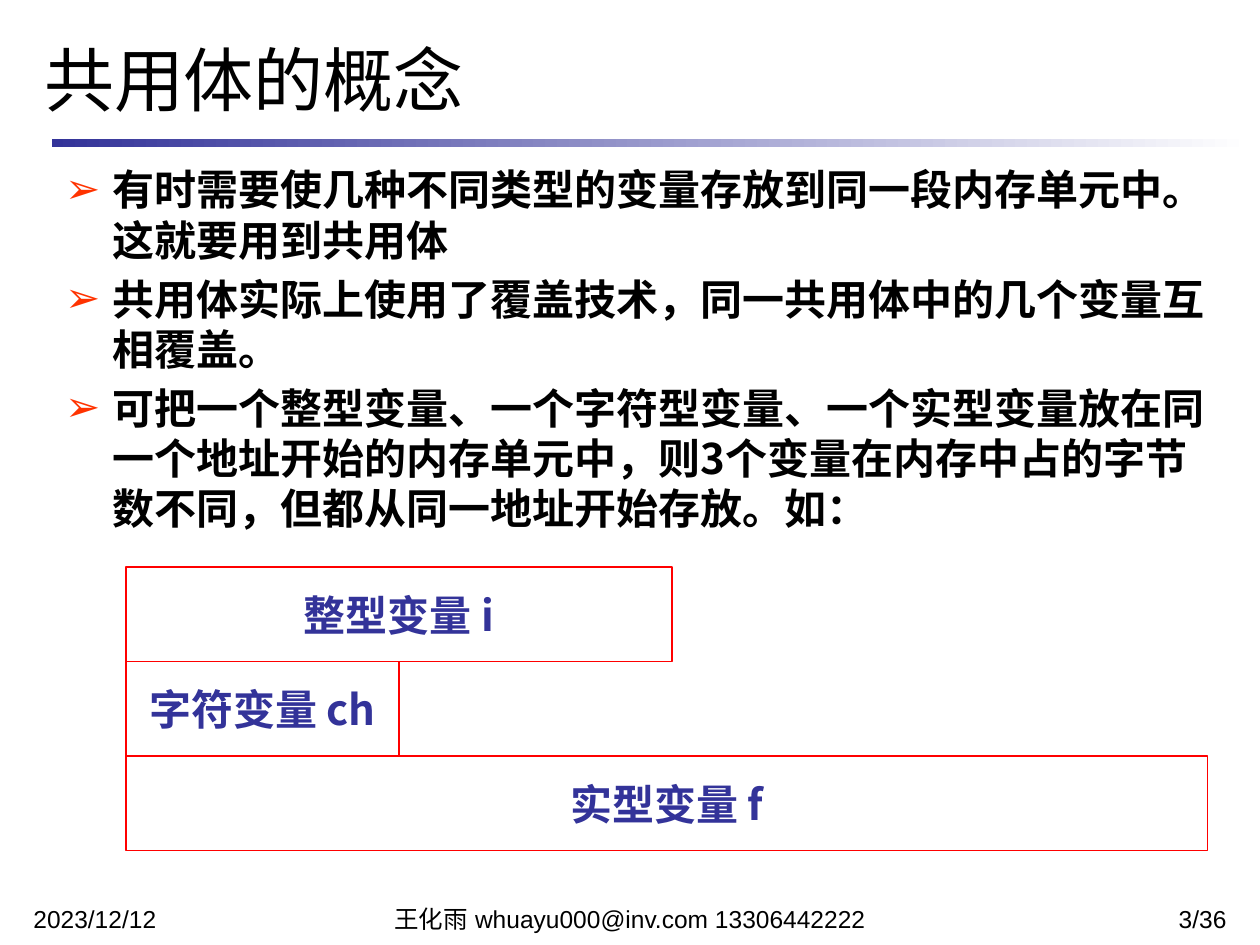
"""Builds the slide on the concept of a union, with its memory layout diagram."""
import dataclasses

import pptx
import pptx.dml.color
import pptx.enum.shapes
import pptx.enum.text
import pptx.oxml.ns
import pptx.util
from lxml import etree

Pt = pptx.util.Pt
Align = pptx.enum.text.PP_ALIGN
Anchor = pptx.enum.text.MSO_ANCHOR
RECTANGLE = pptx.enum.shapes.MSO_SHAPE.RECTANGLE


@dataclasses.dataclass(frozen=True)
class Theme:
    black: str = "000000"
    white: str = "FFFFFF"
    indigo: str = "333399"
    bullet: str = "FF3300"
    border: str = "FF0000"
    heading_font: str = "Noto Sans CJK SC"
    footer_font: str = "Arial"
    title_size: int = 40
    body_size: int = 24
    footer_size: int = 14


THEME = Theme()

POINTS = (
    "有时需要使几种不同类型的变量存放到同一段内存单元中。这就要用到共用体",
    "共用体实际上使用了覆盖技术，同一共用体中的几个变量互相覆盖。",
    "可把一个整型变量、一个字符型变量、一个实型变量放在同一个地址开始的内存单元中，"
    "则3个变量在内存中占的字节数不同，但都从同一地址开始存放。如：",
)
VARIABLES = (("整型变量 i", 312), ("字符变量 ch", 156), ("实型变量 f", 618))
FOOTERS = (
    ("2023/12/12", 12, 168, Align.LEFT),
    ("王化雨 whuayu000@inv.com 13306442222", 186, 348, Align.CENTER),
    ("3/36", 570, 138, Align.RIGHT),
)


def rgb(value):
    return pptx.dml.color.RGBColor.from_string(value)


def add_child(parent, tag, **attributes):
    return etree.SubElement(parent, pptx.oxml.ns.qn(tag), attributes)


def style_spans(para, size, color, font, bold=False):
    for span in para.runs:
        span.font.size = Pt(size)
        span.font.bold = bold
        span.font.name = font
        span.font.color.rgb = rgb(color)
        add_child(span.font._element, "a:ea", typeface=font)


def place(box, left, top, width, height):
    box.left, box.top, box.width, box.height = map(Pt, (left, top, width, height))
    box.text_frame.auto_size = pptx.enum.text.MSO_AUTO_SIZE.NONE


def add_bullet(para):
    properties = para._p.get_or_add_pPr()
    properties.set("marL", str(Pt(27)))
    properties.set("indent", str(-Pt(27)))
    add_child(add_child(properties, "a:buClr"), "a:srgbClr", val=THEME.bullet)
    add_child(properties, "a:buChar", char="➢")


def fill_title(box, text):
    place(box, 18, 18, 672.5, 54)
    box.text_frame.text = text
    box.text_frame.vertical_anchor = Anchor.MIDDLE
    para = box.text_frame.paragraphs[0]
    para.alignment = Align.LEFT
    style_spans(para, THEME.title_size, THEME.black, THEME.heading_font)


def fill_body(box, points):
    place(box, 30, 90, 672.5, 390)
    box.text_frame.text = "\n".join(points)
    for para in box.text_frame.paragraphs:
        para.space_before = Pt(0.2 * THEME.body_size)
        add_bullet(para)
        style_spans(para, THEME.body_size, THEME.black, THEME.heading_font, True)


def add_title_rule(page):
    rule = page.shapes.add_shape(RECTANGLE, Pt(29.5), Pt(79.7), Pt(685), Pt(4.5))
    rule.shadow.inherit = False
    rule.line.fill.background()
    rule.fill.gradient()
    rule.fill.gradient_angle = 0
    colors = (THEME.indigo, THEME.white)
    for position, (stop, color) in enumerate(zip(rule.fill.gradient_stops, colors)):
        stop.position = position
        stop.color.rgb = rgb(color)


def add_variable(group, text, top, width, height):
    box = group.shapes.add_shape(RECTANGLE, Pt(72), Pt(top), Pt(width), Pt(height))
    box.shadow.inherit = False
    box.fill.background()
    box.line.color.rgb = rgb(THEME.border)
    box.line.width = Pt(0.75)
    box.text_frame.text = text
    box.text_frame.word_wrap = False
    box.text_frame.vertical_anchor = Anchor.MIDDLE
    para = box.text_frame.paragraphs[0]
    para.alignment = Align.CENTER
    style_spans(para, THEME.body_size, THEME.indigo, THEME.heading_font, True)


def add_memory_diagram(page):
    group = page.shapes.add_group_shape()
    height = 54
    for row, (text, width) in enumerate(VARIABLES):
        add_variable(group, text, 324 + row * height, width, height)


def add_footer(page, text, left, width, alignment):
    box = page.shapes.add_textbox(0, 0, 0, 0)
    place(box, left, 516, width, 13)
    box.text_frame.word_wrap = True
    box.text_frame.text = text
    para = box.text_frame.paragraphs[0]
    para.alignment = alignment
    para.line_spacing = 0.8
    para.space_before = Pt(0.2 * THEME.footer_size)
    style_spans(para, THEME.footer_size, THEME.black, THEME.footer_font)


def main():
    deck = pptx.Presentation()
    deck.slide_width, deck.slide_height = Pt(720), Pt(540)
    page = deck.slides.add_slide(deck.slide_layouts[1])
    add_title_rule(page)
    fill_title(page.shapes.title, "共用体的概念")
    fill_body(page.placeholders[1], POINTS)
    add_memory_diagram(page)
    for footer in FOOTERS:
        add_footer(page, *footer)
    deck.save("out.pptx")


if __name__ == "__main__":
    main()
